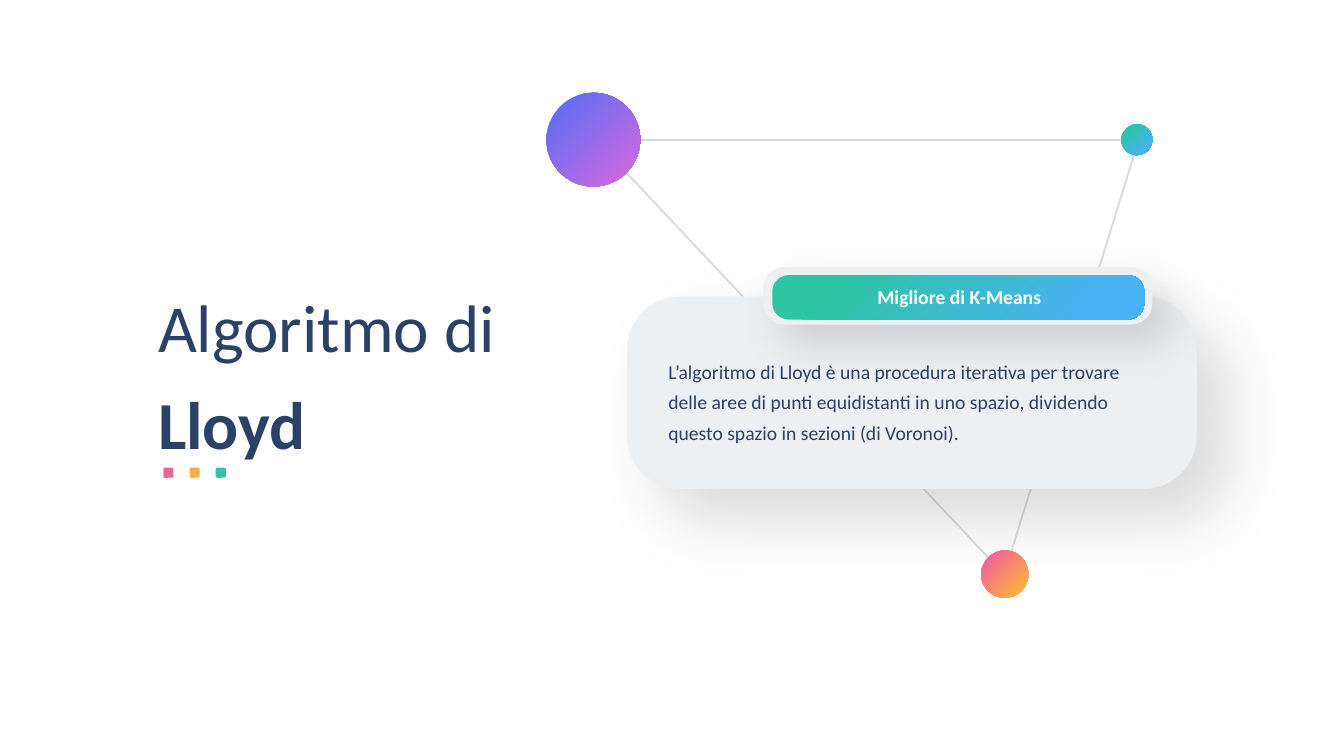
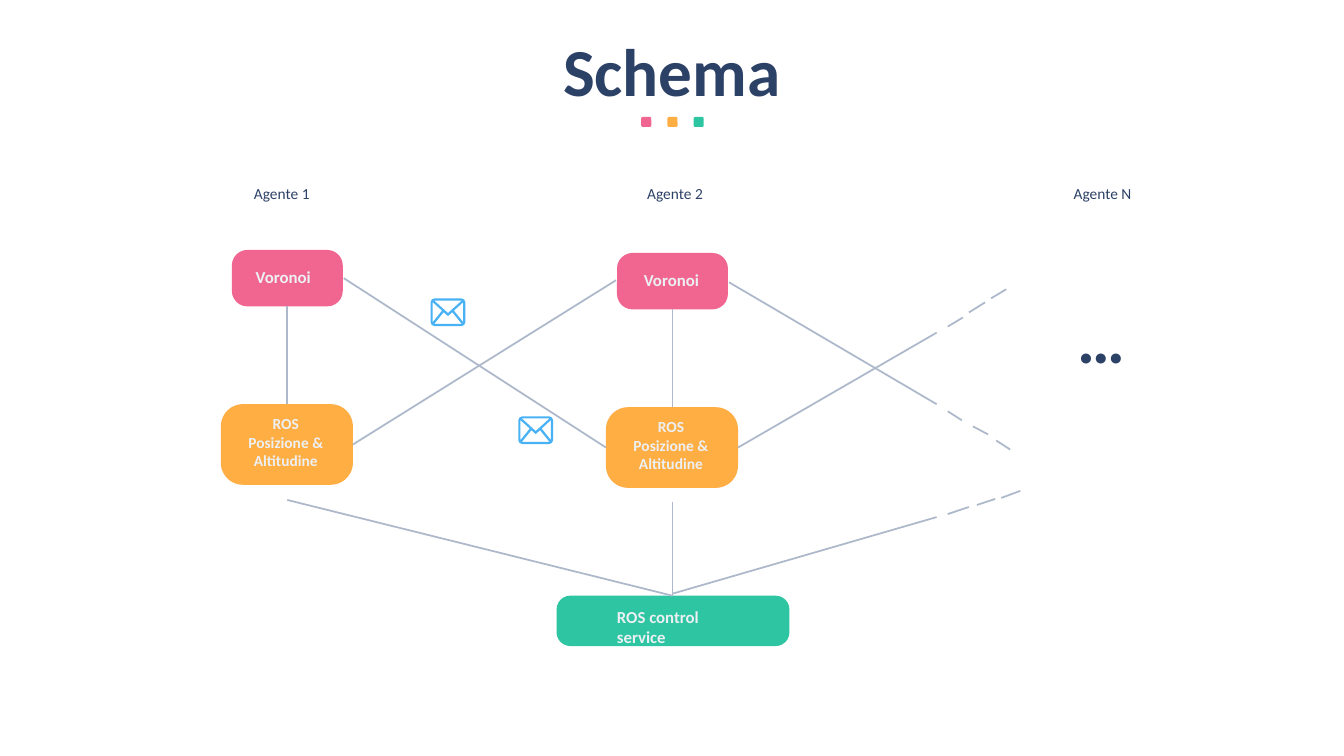
from lxml import etree
from pptx import Presentation
from pptx import util as u
from pptx.dml import color
from pptx.enum import shapes, text
from pptx.oxml import ns

NAVY, PALE, WHITE = "2C4166", "ECF0F3", "FFFFFF"
PINK, ORANGE, GREEN, BLUE = "F16690", "FFAE44", "2DC5A2", "49B2F5"
PURPLE, LILAC = "686DF4", "C569E0"
GREY, STEEL = "D9D9D9", "ADB9CA"
ROUND = shapes.MSO_SHAPE.ROUNDED_RECTANGLE
OVAL = shapes.MSO_SHAPE.OVAL
CENTER = text.PP_ALIGN.CENTER

ENVELOPE = [
    [(40, 0), (306, 0), (334, 12), (346, 40), (346, 236), (334, 264),
     (306, 276), (40, 276), (12, 264), (0, 236), (0, 40), (12, 12)],
    [(232, 122), (324, 38), (324, 236)],
    [(310, 22), (173, 146), (36, 22)],
    [(22, 236), (22, 38), (114, 122)],
    [(36, 254), (130, 138), (173, 176), (216, 138), (310, 254)],
]


def rgb(value):
    return color.RGBColor.from_string(value)


class Deck:
    font = "Calibri"
    line_width = u.Pt(1.25)

    def __init__(self):
        self.presentation = Presentation()
        self.presentation.slide_width = u.Inches(13.33)
        self.presentation.slide_height = u.Inches(7.5)
        self.slide = None

    def new_slide(self):
        layout = self.presentation.slide_layouts[6]
        self.slide = self.presentation.slides.add_slide(layout)
        background = self.slide.background.fill
        background.solid()
        background.fore_color.rgb = rgb(WHITE)

    def paint(self, shape, fill):
        shape.shadow.inherit = False
        shape.line.fill.background()
        if isinstance(fill, str):
            shape.fill.solid()
            shape.fill.fore_color.rgb = rgb(fill)
            return
        shape.fill.gradient()
        shape.fill.gradient_angle = 315
        for stop, position, value in zip(shape.fill.gradient_stops, (0.16, 0.84), fill):
            stop.position = position
            stop.color.rgb = rgb(value)

    def shape(self, kind, box, fill, corner=None):
        shape = self.slide.shapes.add_shape(kind, *map(u.Inches, box))
        self.paint(shape, fill)
        if corner is not None:
            shape.adjustments[0] = corner
        return shape

    def soft_shadow(self, shape, blur, distance):
        effects = shape.element.spPr.find(ns.qn("a:effectLst"))
        shadow = etree.SubElement(
            effects, ns.qn("a:outerShdw"), blurRad=str(u.Pt(blur)),
            dist=str(u.Pt(distance)), dir="2700000", algn="tl", rotWithShape="0")
        tone = etree.SubElement(shadow, ns.qn("a:srgbClr"), val="0D0D0D")
        etree.SubElement(tone, ns.qn("a:alpha"), val="14000")

    def line(self, start, end, tone=STEEL):
        connector = self.slide.shapes.add_connector(
            shapes.MSO_CONNECTOR.STRAIGHT, *map(u.Inches, (*start, *end)))
        connector.line.color.rgb = rgb(tone)
        connector.line.width = self.line_width
        etree.SubElement(connector.element.spPr, ns.qn("a:effectLst"))

    def text(self, box, lines, size, tone=NAVY, bold=False, align=None,
             before=None, spacing=None):
        shape = self.slide.shapes.add_textbox(*map(u.Inches, box))
        frame = shape.text_frame
        frame.word_wrap = True
        frame.auto_size = text.MSO_AUTO_SIZE.SHAPE_TO_FIT_TEXT
        for index, words in enumerate(lines):
            paragraph = frame.add_paragraph() if index else frame.paragraphs[0]
            paragraph.alignment = align
            paragraph.line_spacing = spacing
            if before is not None:
                paragraph.space_before = u.Pt(before)
            run = paragraph.add_run()
            run.text = words
            run.font.name = self.font
            run.font.size = u.Pt(size)
            run.font.bold = bold
            run.font.color.rgb = rgb(tone)
        return shape

    def title(self, box, lines, align=None):
        shape = self.text(box, lines, 48, align=align, before=12)
        shape.text_frame.paragraphs[-1].runs[0].font.bold = True

    def title_dots(self, left, top):
        for index, fill in enumerate((PINK, ORANGE, GREEN)):
            self.shape(ROUND, (left + 0.26 * index, top, 0.1, 0.1), fill)

    def envelope(self, left, top):
        contours = [[(left * 1000 + x, top * 1000 + y) for x, y in contour]
                    for contour in ENVELOPE]
        builder = self.slide.shapes.build_freeform(*contours[0][0], scale=u.Inches(1) / 1000)
        for index, contour in enumerate(contours):
            if index:
                builder.move_to(*contour[0])
            builder.add_line_segments(contour[1:], close=True)
        self.paint(builder.convert_to_shape(), BLUE)

    def agent(self, left, top, label_left):
        self.shape(ROUND, (left + 0.11, top, 1.1, 0.56), PINK, 0.274)
        self.text((label_left, top + 0.12, 1.1, 0.3), ["Voronoi"], 12, PALE, True, CENTER)
        self.shape(ROUND, (left, top + 1.53, 1.31, 0.8), ORANGE, 0.274)
        self.text((left + 0.09, top + 1.58, 1.11, 0.72),
                  ["ROS", "Posizione &", "Altitudine"], 11, PALE, True, CENTER)
        self.line((left + 0.66, top + 1.53), (left + 0.66, top + 0.56))


def build_lloyd(deck):
    deck.new_slide()
    deck.line((11.33, 1.27), (9.96, 5.7), GREY)
    deck.line((6.21, 1.71), (9.8, 5.53), GREY)
    deck.title((1.47, 2.78, 3.7, 1.88), ["Algoritmo di", "Lloyd"])
    deck.title_dots(1.62, 4.64)
    deck.line((11.12, 1.39), (6.35, 1.39), GREY)
    card = deck.shape(ROUND, (6.22, 2.94, 5.65, 1.91), PALE, 0.276)
    deck.soft_shadow(card, 45, 31)
    deck.text((6.53, 3.45, 5.04, 1),
              ["L’algoritmo di Lloyd è una procedura iterativa per trovare delle aree "
               "di punti equidistanti in uno spazio, dividendo questo spazio in sezioni "
               "(di Voronoi)."], 14, spacing=1.3)
    frame = deck.shape(ROUND, (7.57, 2.65, 3.86, 0.57), PALE, 0.368)
    deck.soft_shadow(frame, 32, 18)
    deck.shape(ROUND, (7.66, 2.73, 3.69, 0.44), (GREEN, BLUE), 0.368)
    deck.text((8.11, 2.78, 2.81, 0.34), ["Migliore di K-Means"], 14, WHITE, True, CENTER)
    for left, top, size, fill in (
            (9.73, 5.46, 0.47, (PINK, ORANGE)),
            (5.42, 0.92, 0.93, (PURPLE, LILAC)),
            (11.12, 1.23, 0.31, (GREEN, BLUE))):
        deck.shape(OVAL, (left, top, size, size), fill)


def build_schema(deck):
    deck.new_slide()
    deck.title((2.33, 0.24, 8.67, 0.91), ["Schema"], CENTER)
    deck.title_dots(6.36, 1.16)
    for left, name in ((2.42, "1"), (6.32, "2"), (10.55, "N")):
        deck.text((left, 1.69, 0.86, 0.35), [f"Agente {name}"], 11, spacing=1.5)
    deck.shape(ROUND, (5.52, 5.91, 2.31, 0.5), GREEN, 0.274)
    deck.text((6.02, 5.97, 1.48, 0.3), ["ROS control service"], 12, PALE, True)
    deck.agent(2.19, 2.48, 2.26)
    deck.agent(6.01, 2.51, 6.11)
    deck.title((9.83, 2.89, 2.19, 0.91), ["…"], CENTER)

    agent_links = [((3.5, 4.41), (6.11, 2.78)), ((3.41, 2.76), (6.01, 4.44))]
    service_links = [((6.67, 5.91), (2.85, 4.96)), ((6.67, 5.91), (6.67, 4.98))]
    fading_links = [
        ((7.23, 2.8), (9.29, 4.01)), ((9.4, 4.08), (9.54, 4.17)),
        ((9.65, 4.23), (9.8, 4.31)), ((9.88, 4.37), (10.02, 4.46)),
        ((7.32, 4.44), (9.29, 3.3)), ((9.4, 3.24), (9.55, 3.15)),
        ((9.61, 3.1), (9.77, 3)), ((9.83, 2.96), (9.98, 2.87)),
        ((6.67, 5.89), (9.29, 5.13)), ((9.4, 5.1), (9.61, 5.03)),
        ((9.69, 5.01), (9.87, 4.95)), ((9.93, 4.94), (10.12, 4.87)),
    ]
    for start, end in agent_links + service_links + fading_links:
        deck.line(start, end)
    deck.envelope(4.27, 2.96)
    deck.envelope(5.14, 4.13)


deck = Deck()
build_lloyd(deck)
build_schema(deck)
deck.presentation.save("out.pptx")
